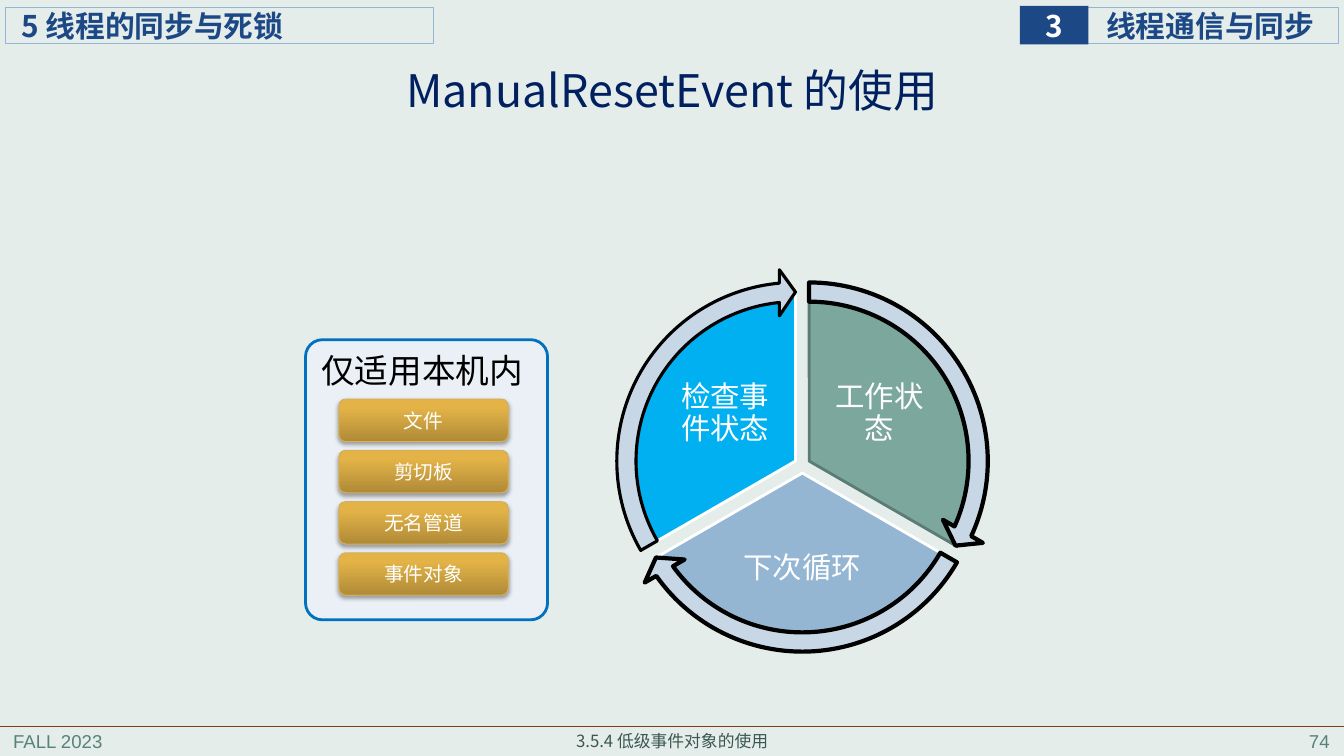
from math import cos, radians, sin

from pptx import Presentation
from pptx import util as u
from pptx.dml.color import RGBColor
from pptx.enum import shapes, text
from pptx.oxml.ns import qn
from lxml import etree

PALE = RGBColor(0xE5, 0xED, 0xEB)
NAVY = RGBColor(0x1C, 0x48, 0x85)
TITLE_BLUE = RGBColor(0x00, 0x20, 0x60)
STEEL = RGBColor(0x94, 0xB6, 0xD2)
SAGE = RGBColor(0x7B, 0xA7, 0x9D)
DARK_SAGE = RGBColor(0x5B, 0x7C, 0x74)
SKY = RGBColor(0x00, 0xB0, 0xF0)
ARROW_BLUE = RGBColor(0xC8, 0xD7, 0xE5)
PANEL_FILL = RGBColor(0xEA, 0xF0, 0xF6)
PANEL_LINE = RGBColor(0x00, 0x70, 0xC0)
GOLD_DARK = RGBColor(0xAF, 0x8A, 0x37)
GOLD_LIGHT = RGBColor(0xE3, 0xB3, 0x47)
GOLD_LINE = RGBColor(0xD6, 0xAF, 0x57)
FOOTER_GREEN = RGBColor(0x57, 0x82, 0x79)
SECTION_GREEN = RGBColor(0x3A, 0x57, 0x50)
RULE_BROWN = RGBColor(0x7B, 0x3D, 0x17)
WHITE = RGBColor(0xFF, 0xFF, 0xFF)
BLACK = RGBColor(0, 0, 0)

CJK = "Noto Sans CJK SC"
LEFT, CENTER, RIGHT = text.PP_ALIGN.LEFT, text.PP_ALIGN.CENTER, text.PP_ALIGN.RIGHT
KIND = shapes.MSO_SHAPE


def cm(*lengths):
    """Turn centimetre numbers into lengths."""
    return [u.Cm(length) for length in lengths]


def write(holder, words, size, color, align=CENTER, bold=False, font=CJK,
          insets=(0.25, 0.13, 0.25, 0.13), wrap=True, spacing=None):
    """Fill a shape with one formatted, vertically centred paragraph."""
    frame = holder.text_frame
    frame.text = words
    frame.word_wrap = wrap
    frame.vertical_anchor = text.MSO_ANCHOR.MIDDLE
    (frame.margin_left, frame.margin_top,
     frame.margin_right, frame.margin_bottom) = cm(*insets)
    paragraph = frame.paragraphs[0]
    paragraph.alignment = align
    paragraph.line_spacing = spacing
    paragraph.font.size = u.Pt(size)
    paragraph.font.bold = bold
    paragraph.font.color.rgb = color
    paragraph.font.name = font
    for run in paragraph.runs:
        properties = run._r.get_or_add_rPr()
        etree.SubElement(properties, qn("a:ea"), typeface=font)


def add_label(slide, box, words, size, color, **style):
    """Add a text box."""
    write(slide.shapes.add_textbox(*cm(*box)), words, size, color, **style)


def add_block(slide, kind, box, fill, line, weight, adjustments=()):
    """Add a flat preset shape with the given fill and outline."""
    block = slide.shapes.add_shape(kind, *cm(*box))
    block.shadow.inherit = False
    if fill is None:
        block.fill.background()
    else:
        block.fill.solid()
        block.fill.fore_color.rgb = fill
    block.line.color.rgb = line
    block.line.width = u.Pt(weight)
    for index, value in enumerate(adjustments):
        block.adjustments[index] = value
    return block


def add_header(slide, box):
    """Put the section at the left and the chapter at the right."""
    left, top, width, height = box
    section = add_block(slide, KIND.RECTANGLE, (left, top, 10.8, height), None, STEEL, 0.75)
    write(section, "5 线程的同步与死锁", 21.3, NAVY, LEFT, True, insets=(0.41, 0, 0, 0))
    right = left + width
    chapter = add_block(slide, KIND.RECTANGLE, (right - 6.35, top, 6.35, height),
                        None, STEEL, 0.75)
    write(chapter, "线程通信与同步", 21.3, NAVY, LEFT, True, insets=(0.5, 0, 0, 0))
    number = add_block(slide, KIND.RECTANGLE, (right - 8.03, top - 0.03, 1.73, height + 0.06),
                       NAVY, NAVY, 0.75)
    number.line.fill.background()
    write(number, "3", 21.3, WHITE, bold=True, insets=(0, 0, 0, 0), wrap=False)


def add_title(slide, box):
    """Place and format the title."""
    title = slide.shapes.title
    title.left, title.top, title.width, title.height = cm(*box)
    write(title, "ManualResetEvent 的使用", 32, TITLE_BLUE,
          insets=(0.2, 0.1, 0.2, 0.1), spacing=0.9)


def add_panel(slide, box):
    """Draw the panel of kernel objects that work on one machine."""
    left, top, _, _ = box
    add_block(slide, KIND.ROUNDED_RECTANGLE, box, PANEL_FILL, PANEL_LINE, 2, [0.07])
    add_label(slide, (left + 0.15, top + 0.13, 5.64, 1.27), "仅适用本机内", 24, BLACK,
              align=LEFT, wrap=False)
    for row, words in enumerate(["文件", "剪切板", "无名管道", "事件对象"]):
        add_button(slide, (left + 0.84, top + 1.5 + 1.29 * row, 4.27, 1.07), words)


def add_button(slide, box, words):
    """Draw a golden button with a soft shadow."""
    button = add_block(slide, KIND.ROUNDED_RECTANGLE, box, GOLD_LIGHT, GOLD_LINE, 0.75)
    button.fill.gradient()
    button.fill.gradient_angle = 90
    stops = zip(button.fill.gradient_stops, [0, 0.8], [GOLD_DARK, GOLD_LIGHT])
    for stop, position, color in stops:
        stop.position = position
        stop.color.rgb = color
    effects = button._element.spPr.find(qn("a:effectLst"))
    shadow = etree.SubElement(effects, qn("a:outerShdw"), blurRad=str(u.Pt(3.1)),
                              dist=str(u.Pt(1.8)), dir="5400000", rotWithShape="0")
    shade = etree.SubElement(shadow, qn("a:srgbClr"), val=str(BLACK))
    etree.SubElement(shade, qn("a:alpha"), val="35000")
    write(button, words, 14, WHITE)


def add_cycle(slide, box):
    """Draw three sectors around a hub, then the arrows around them."""
    left, top, width, height = box
    hub_x, hub_y = left + width / 2, top + height / 2
    sectors = [
        ("工作状态", -30, (162, 18), SAGE, DARK_SAGE, (0.41, -2.58, 3.07, 2.57), (14.73, 161.99), 3),
        ("下次循环", 90, (18, 90), STEEL, WHITE, (-2.31, 1.49, 4.62, 2.26), (86.72, 18), 3),
        ("检查事件状态", 210, (90, 162), SKY, WHITE, (-3.48, -2.58, 3.07, 2.57), (158.73, 90), 2.25),
    ]

    def around(angle, diameter):
        """Give the square of a circle pushed out from the hub."""
        return (hub_x + 0.2 * cos(radians(angle)) - diameter / 2,
                hub_y + 0.2 * sin(radians(angle)) - diameter / 2, diameter, diameter)

    for words, angle, sweep, fill, line, (dx, dy, wide, high), _, _ in sectors:
        add_block(slide, KIND.PIE, around(angle, 8.61), fill, line, 2, sweep)
        add_label(slide, (hub_x + dx, hub_y + dy, wide, high), words, 21, WHITE,
                  insets=(0.08, 0.08, 0.08, 0.08), spacing=0.9)
    for _, angle, _, _, _, _, (end, start), weight in sectors:
        add_block(slide, KIND.CIRCULAR_ARROW, around(angle, 9.68), ARROW_BLUE, BLACK,
                  weight, (0.05, 3.28, end, start, 0.06))


def add_footer(slide, box):
    """Draw the rule with the term, the section and the page number."""
    left, top, width, height = box
    rule = slide.shapes.add_connector(shapes.MSO_CONNECTOR.STRAIGHT,
                                      *cm(left, top, left + width, top))
    rule.line.color.rgb = RULE_BROWN
    rule.line.width = u.Pt(0.5)
    etree.SubElement(rule._element.spPr, qn("a:effectLst"))
    add_label(slide, (left + 0.08, top, 7.06, height), "FALL 2023", 13.3, FOOTER_GREEN,
              align=LEFT, font="Arial")
    add_label(slide, (left + width - 7.17, top, 7.06, height), "74", 13.3, FOOTER_GREEN,
              align=RIGHT, font="Arial")
    add_label(slide, (left + 4.24, top, 25.4, height), "3.5.4 低级事件对象的使用", 12,
              SECTION_GREEN)


def main():
    """Build and save the slide."""
    deck = Presentation()
    deck.slide_width, deck.slide_height = cm(33.87, 19.05)
    slide = deck.slides.add_slide(deck.slide_layouts[5])
    slide.background.fill.solid()
    slide.background.fill.fore_color.rgb = PALE
    add_header(slide, (0.13, 0.18, 33.6, 0.91))
    add_title(slide, (2.34, 1.35, 29.21, 1.98))
    add_cycle(slide, (15.38, 6.88, 9.68, 9.68))
    add_panel(slide, (7.7, 8.56, 6.1, 7.06))
    add_footer(slide, (0, 18.31, 33.87, 0.74))
    deck.save("out.pptx")


if __name__ == "__main__":
    main()
